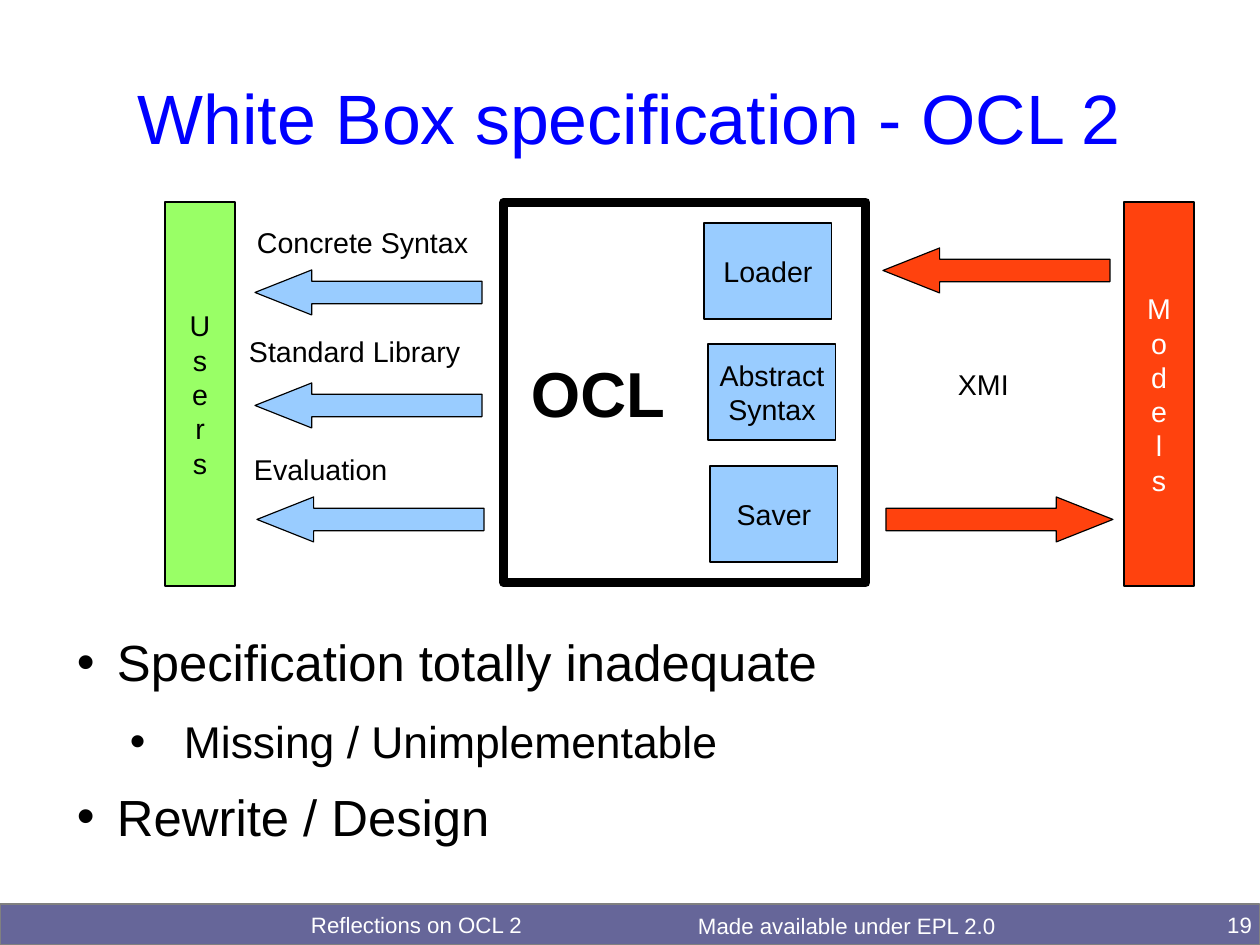
from lxml import etree
from pptx import Presentation
from pptx import util as u
from pptx.dml.color import RGBColor
from pptx.enum import shapes, text
from pptx.oxml.ns import qn

PX = 8000  # EMU; the slide of 28 by 21 cm is 1260 by 945 px
FONT = "Arial"
COLORS = {
    "title": "0000FF", "black": "000000", "white": "FFFFFF",
    "blue": "99CCFF", "green": "99FF66", "red": "FF420E",
    "bar": "666699", "bar_line": "808080",
}
LEFT, CENTER, RIGHT = text.PP_ALIGN.LEFT, text.PP_ALIGN.CENTER, text.PP_ALIGN.RIGHT
TOP, MIDDLE = text.MSO_ANCHOR.TOP, text.MSO_ANCHOR.MIDDLE
RECT = shapes.MSO_SHAPE.RECTANGLE
LEFT_ARROW, RIGHT_ARROW = shapes.MSO_SHAPE.LEFT_ARROW, shapes.MSO_SHAPE.RIGHT_ARROW
NO_INSETS = (0, 0, 0, 0)


def px(*lengths):
    return [u.Emu(n * PX) for n in lengths]


def rgb(name):
    return RGBColor.from_string(COLORS[name])


def write(sp, words, size=18, color="black", bold=False, align=LEFT,
          anchor=TOP, insets=(11, 6, 11, 6)):
    """Fill a shape with text, one paragraph per line."""
    tf = sp.text_frame
    tf.text = words
    tf.word_wrap = True
    tf.auto_size = text.MSO_AUTO_SIZE.NONE
    tf.vertical_anchor = anchor
    tf.margin_left, tf.margin_top, tf.margin_right, tf.margin_bottom = px(*insets)
    for p in tf.paragraphs:
        p.alignment = align
        font = p.runs[0].font
        font.name, font.size, font.bold = FONT, u.Pt(size), bold
        font.color.rgb = rgb(color)
    return tf


def add_block(s, box, fill, kind=RECT, line="black", width=0):
    sp = s.shapes.add_shape(kind, *px(*box))
    sp.shadow.inherit = False
    sp.fill.solid()
    sp.fill.fore_color.rgb = rgb(fill)
    sp.line.color.rgb = rgb(line)
    sp.line.width = u.Pt(width)
    return sp


def add_arrow(s, x, y, fill, kind=LEFT_ARROW):
    sp = add_block(s, (x, y, 227, 45), fill, kind)
    sp.adjustments[0], sp.adjustments[1] = 0.5, 1.26


def add_label(s, box, words, **fmt):
    return write(s.shapes.add_textbox(*px(*box)), words, **fmt)


def add_bullets(s, box, items):
    tf = add_label(s, box, "\n".join(item[0] for item in items), insets=NO_INSETS)
    for p, (_, level, size, left, hang, after) in zip(tf.paragraphs, items):
        p.level = level
        p.space_after = u.Pt(after)
        p.runs[0].font.size = u.Pt(size)
        props = p._p.get_or_add_pPr()
        props.set("marL", str(left * PX))
        props.set("indent", str(-hang * PX))
        etree.SubElement(props, qn("a:buFont"), typeface=FONT)
        etree.SubElement(props, qn("a:buChar"), char="•")


def main():
    prs = Presentation()
    prs.slide_width, prs.slide_height = px(1260, 945)
    s = prs.slides.add_slide(prs.slide_layouts[5])

    # Title
    title = s.shapes.title
    title.left, title.top, title.width, title.height = px(63, 38, 1134, 158)
    write(title, "White Box specification - OCL 2", size=44, color="title",
          align=CENTER, anchor=MIDDLE, insets=NO_INSETS)

    # Footer
    add_block(s, (0, 904, 1260, 41), "bar", line="bar_line")
    add_label(s, (687, 906, 321, 37), "Made available under EPL 2.0",
              size=14, color="white")
    for x, width, words, align in ((225, 383, "Reflections on OCL 2", CENTER),
                                   (1199, 53, "19", RIGHT)):
        add_label(s, (x, 911, width, 32), words, size=14, color="white",
                  align=align, insets=NO_INSETS)

    # OCL box and its components
    ocl = add_block(s, (504, 202, 362, 381), "white", width=5.67)
    write(ocl, "OCL", size=40, bold=True, anchor=MIDDLE, insets=(27, 10, 16, 10))
    for x, y, words in ((704, 223, "Loader"), (708, 344, "Abstract\nSyntax"),
                        (710, 466, "Saver")):
        write(add_block(s, (x, y, 128, 96), "blue"), words,
              align=CENTER, anchor=MIDDLE)

    # Users and models, lettered downwards
    for x, fill, word, color in ((165, "green", "Users", "black"),
                                 (1124, "red", "Models", "white")):
        write(add_block(s, (x, 202, 70, 384), fill), "\n".join(word),
              color=color, align=CENTER, anchor=MIDDLE)

    # Arrows to the users
    for x, y, label_x, label_y, words in (
            (255, 270, 246, 219, "Concrete Syntax"),
            (255, 383, 238, 328, "Standard Library"),
            (257, 497, 243, 446, "Evaluation")):
        add_arrow(s, x, y, "blue")
        add_label(s, (label_x, label_y, 257, 43), words)

    # Exchange with the models
    add_arrow(s, 883, 248, "red")
    add_arrow(s, 886, 497, "red", RIGHT_ARROW)
    add_label(s, (947, 361, 257, 43), "XMI")

    # Conclusions: words, level, size, left, hang, space after
    add_bullets(s, (63, 631, 1134, 213), (
        ("Specification totally inadequate", 0, 32, 54, 40, 14.2),
        ("Missing / Unimplementable", 1, 28, 121, 54, 11.3),
        ("Rewrite / Design", 0, 32, 54, 40, 14.2)))

    prs.save("out.pptx")


if __name__ == "__main__":
    main()
